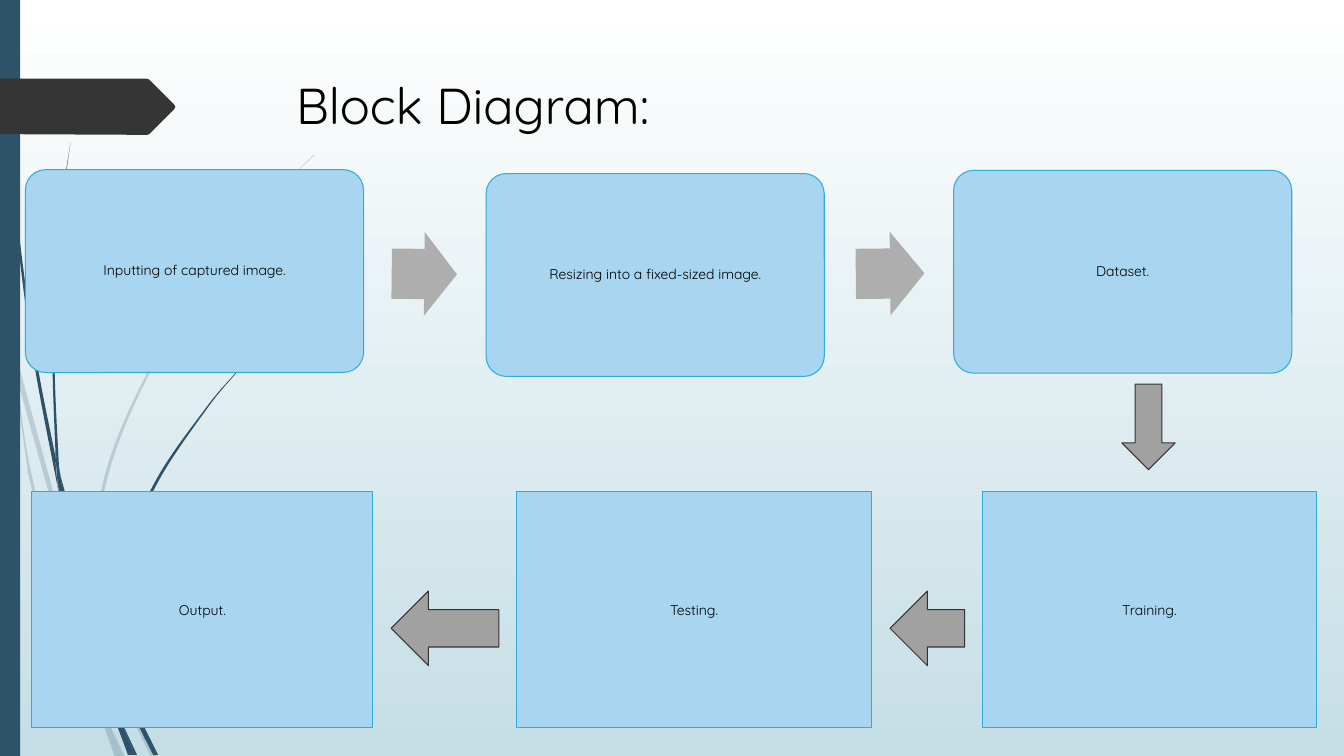
from lxml import etree
from pptx import Presentation
from pptx.dml.color import RGBColor
from pptx.enum.shapes import MSO_SHAPE
from pptx.enum.text import MSO_ANCHOR, PP_ALIGN
from pptx.oxml.ns import qn
from pptx.util import Pt

ROUNDED, RECT = MSO_SHAPE.ROUNDED_RECTANGLE, MSO_SHAPE.RECTANGLE
RIGHT, DOWN, LEFT = MSO_SHAPE.RIGHT_ARROW, MSO_SHAPE.DOWN_ARROW, MSO_SHAPE.LEFT_ARROW
TOP, MIDDLE = MSO_ANCHOR.TOP, MSO_ANCHOR.MIDDLE
ALIGN_LEFT, ALIGN_CENTER = PP_ALIGN.LEFT, PP_ALIGN.CENTER

FONT = "Quicksand"
WHITE = RGBColor(0xFF, 0xFF, 0xFF)
BLACK = RGBColor(0x00, 0x00, 0x00)
MIST = RGBColor(0xC5, 0xDE, 0xE5)
NAVY = RGBColor(0x2E, 0x53, 0x69)
CHARCOAL = RGBColor(0x35, 0x35, 0x35)
BOX_BLUE = RGBColor(0xA8, 0xD5, 0xF0)
BOX_EDGE = RGBColor(0x2F, 0xAC, 0xDC)
LIGHT_GRAY = RGBColor(0xAE, 0xAE, 0xAE)
MID_GRAY = RGBColor(0xA1, 0xA1, 0xA1)
ARROW_EDGE = RGBColor(0x33, 0x33, 0x33)

# Grass blades: each has a forward edge and a returning edge, on a grid of GRID points
GRID = 0.72
FAINT_BLADES = [
    ([(0, 282), (9, 322), (11, 350)], [(10, 344), (0, 299)]),
    ([(14, 345), (62, 520), (85, 586)], [(84, 599), (58, 522), (17, 376)]),
    ([(88, 596), (92, 607), (127, 692), (155, 751)],
     [(150, 751), (123, 694), (88, 610)]),
    ([(105, 711), (124, 751)], [(119, 751)]),
    ([(11, 350), (17, 376), (31, 469), (70, 619), (93, 683), (99, 707), (101, 714)],
     [(92, 693), (65, 621), (28, 470)]),
    ([(88, 596), (88, 584), (110, 462), (160, 349), (229, 245), (268, 198),
      (290, 175), (312, 154)],
     [(312, 153), (289, 175), (268, 197), (228, 244), (158, 348), (107, 461),
      (85, 584), (85, 586)]),
    ([(101, 714), (119, 751)], [(114, 751)]),
    ([(93, 683), (96, 692), (105, 711), (119, 751)], [(101, 714), (99, 707)]),
]
DARK_BLADES = [
    ([(3, 0), (4, 48), (7, 110), (17, 233), (33, 355), (56, 477), (57, 481)],
     [(55, 457), (55, 453), (36, 355), (19, 232), (8, 109), (5, 48), (4, 0)]),
    ([(60, 472), (93, 590), (106, 631), (106, 633)],
     [(106, 645), (88, 592), (64, 505)]),
    ([(110, 641), (113, 649), (136, 706), (157, 749)],
     [(152, 749), (132, 708), (111, 656)]),
    ([(57, 477), (64, 505), (72, 556), (98, 657), (110, 691), (116, 717), (117, 722)],
     [(111, 708), (93, 659), (68, 557)]),
    ([(70, 141), (63, 193), (58, 245), (54, 349), (58, 453), (60, 472)],
     [(55, 449), (52, 349), (56, 245), (62, 193), (70, 141)]),
    ([(122, 719), (136, 749)], [(133, 749)]),
    ([(55, 449), (60, 472), (64, 505)], [(57, 477), (55, 453)]),
    ([(261, 344), (245, 359), (231, 374), (205, 406), (158, 476), (125, 552),
      (111, 633), (110, 641)],
     [(106, 631), (122, 551), (156, 474), (204, 405), (231, 373), (245, 358),
      (260, 344)]),
    ([(117, 722), (131, 749)], [(127, 749)]),
    ([(110, 691), (116, 706), (122, 719), (133, 749)],
     [(130, 749), (117, 722), (116, 717)]),
]
PENNANT = [(0, 56.2), (105.1, 56.2), (106.6, 56.9), (124.6, 74.9), (125.3, 76.3),
           (124.6, 77.8), (106.6, 95.8), (105.1, 96.3), (0, 95.8)]

# Upper steps: left, top, label
UPPER_WIDTH, UPPER_HEIGHT, LABEL_INSET = 241.6, 144.9, 4.2
UPPER_STEPS = [
    (18.1, 121.2, "Inputting of captured image."),
    (347.2, 124, "Resizing into a fixed-sized image."),
    (681.1, 121.7, "Dataset."),
]
# Lower steps: left, width, label
LOWER_TOP, LOWER_HEIGHT = 350.9, 168.8
LOWER_STEPS = [(701.6, 238.9, "Training."), (369, 253.5, "Testing."),
               (22.7, 243.7, "Output.")]
# Upper arrows: left, top, width, height, rotation
UPPER_ARROWS = [(279.8, 165.8, 46.6, 59.8, 0.6), (611.3, 165.5, 49, 59.8, -0.6)]
# Outlined arrows: kind, left, top, width, height
OUTLINED_ARROWS = [
    (DOWN, 801.3, 274.3, 38.2, 61.2),
    (LEFT, 635.8, 422.2, 53.3, 53.3),
    (LEFT, 279.4, 422.2, 77, 53.3),
]


def paint(shape, fill, line=None):
    shape.shadow.inherit = False
    shape.fill.solid()
    shape.fill.fore_color.rgb = fill
    if line is None:
        shape.line.fill.background()
    else:
        shape.line.color.rgb = line
        shape.line.width = Pt(0.75)


def write(shape, text, size=10, color=BLACK, align=ALIGN_CENTER, anchor=MIDDLE,
          spacing=None):
    frame = shape.text_frame
    frame.word_wrap = True
    frame.vertical_anchor = anchor
    paragraph = frame.paragraphs[0]
    paragraph.alignment = align
    paragraph.line_spacing = spacing
    run = paragraph.add_run()
    run.text = text
    run.font.name, run.font.size, run.font.color.rgb = FONT, Pt(size), color


def add_block(slide, kind, left, top, width, height, fill, line=None):
    block = slide.shapes.add_shape(kind, Pt(left), Pt(top), Pt(width), Pt(height))
    paint(block, fill, line)
    return block


def add_label(slide, left, top, width, height, text):
    label = slide.shapes.add_textbox(Pt(left), Pt(top), Pt(width), Pt(height))
    frame = label.text_frame
    frame.margin_left = frame.margin_right = Pt(2.9)
    frame.margin_top = frame.margin_bottom = Pt(2.9)
    write(label, text, spacing=0.9)


def add_outline(slide, points, fill):
    corners = [(Pt(x), Pt(y)) for x, y in points]
    builder = slide.shapes.build_freeform(*corners[0])
    builder.add_line_segments(corners[1:], close=True)
    outline = builder.convert_to_shape()
    paint(outline, fill)
    return outline


def bend(outline, turn):
    """Turn the straight segments of both edges into Bezier curves."""
    vertices = list(outline.element.iter(qn("a:pt")))
    points = [(int(v.get("x")), int(v.get("y"))) for v in vertices]
    last = len(points) - 1
    for i in range(last):
        if i == turn - 1:
            continue
        start, end = points[i], points[i + 1]
        before = start if i in (0, turn) else points[i - 1]
        after = end if i + 1 in (turn - 1, last) else points[i + 2]
        segment = vertices[i + 1].getparent()
        curve = etree.Element(qn("a:cubicBezTo"))
        controls = ([s + (e - b) / 6 for s, e, b in zip(start, end, before)],
                    [e - (a - s) / 6 for s, e, a in zip(start, end, after)], end)
        for x, y in controls:
            etree.SubElement(curve, qn("a:pt"), x=str(round(x)), y=str(round(y)))
        segment.getparent().replace(segment, curve)


def add_blade(slide, forward, back, opacity):
    points = [(x * GRID, y * GRID) for x, y in forward + back]
    blade = add_outline(slide, points, NAVY)
    bend(blade, len(forward))
    if opacity < 100:
        color = blade.element.spPr.find(qn("a:solidFill")).find(qn("a:srgbClr"))
        etree.SubElement(color, qn("a:alpha")).set("val", str(opacity * 1000))


def set_background(slide):
    fill = slide.background.fill
    fill.gradient()
    fill.gradient_angle = 270
    for stop, color in zip(fill.gradient_stops, (WHITE, MIST)):
        stop.color.rgb = color


def add_title(slide, text):
    title = slide.shapes.title
    title.left, title.top, title.width, title.height = Pt(204.3), Pt(49), Pt(702), Pt(100.8)
    write(title, text, size=36, align=ALIGN_LEFT, anchor=TOP)


def main():
    prs = Presentation()
    prs.slide_width, prs.slide_height = Pt(960), Pt(540)
    slide = prs.slides.add_slide(prs.slide_layouts[5])

    # Backdrop
    set_background(slide)
    for blades, opacity in ((FAINT_BLADES, 20), (DARK_BLADES, 100)):
        for forward, back in blades:
            add_blade(slide, forward, back, opacity)
    add_block(slide, RECT, 0, 0, 14.4, 540, NAVY)
    add_outline(slide, PENNANT, CHARCOAL)

    add_title(slide, "Block Diagram:")

    # Upper row
    for left, top, label in UPPER_STEPS:
        step = add_block(slide, ROUNDED, left, top, UPPER_WIDTH, UPPER_HEIGHT,
                         BOX_BLUE, BOX_EDGE)
        step.adjustments[0] = 0.1
        add_label(slide, left + LABEL_INSET, top + LABEL_INSET,
                  UPPER_WIDTH - 2 * LABEL_INSET, UPPER_HEIGHT - 2 * LABEL_INSET, label)
    for left, top, width, height, rotation in UPPER_ARROWS:
        arrow = add_block(slide, RIGHT, left, top, width, height, LIGHT_GRAY)
        arrow.adjustments[0] = 0.6
        arrow.rotation = rotation

    # Lower row
    for left, width, label in LOWER_STEPS:
        step = add_block(slide, RECT, left, LOWER_TOP, width, LOWER_HEIGHT,
                         BOX_BLUE, BOX_EDGE)
        write(step, label)
    for placement in OUTLINED_ARROWS:
        add_block(slide, *placement, MID_GRAY, ARROW_EDGE)

    prs.save("out.pptx")


if __name__ == "__main__":
    main()
